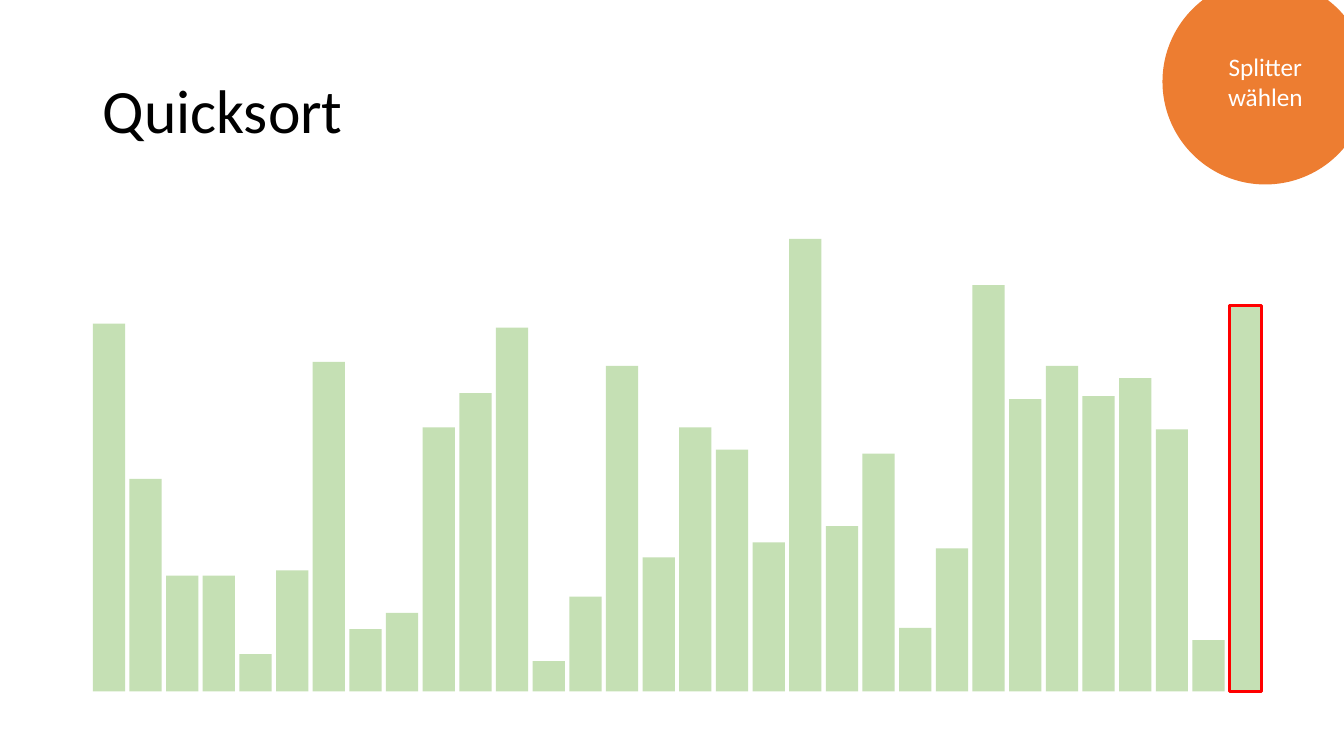
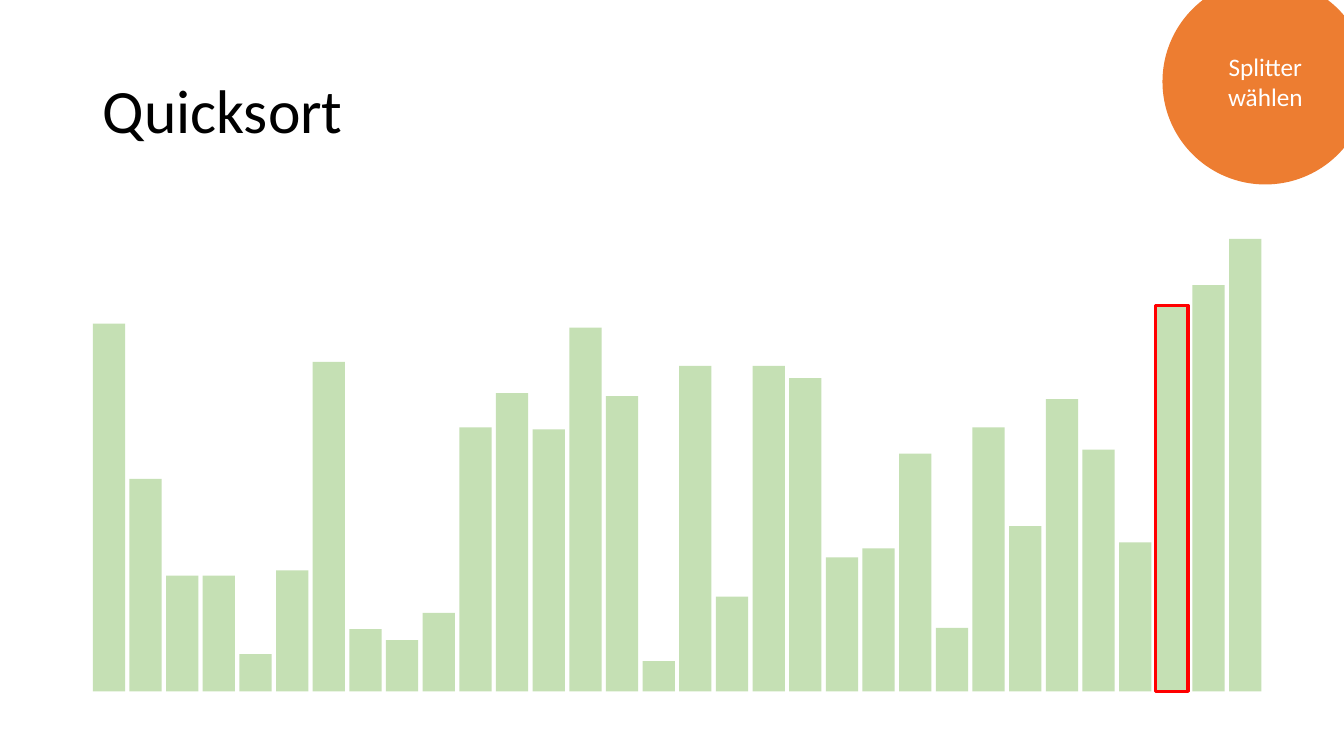
import pptx
import pptx.util
import pptx.dml.color
import pptx.enum.shapes
import pptx.enum.text

TITLE = "Quicksort"
STEP = "Splitter wählen"
SPLITTER = 3.83
ORDERS = [
    [3.65, 2.11, 1.15, 1.15, 0.37, 1.2, 3.27, 0.62,
     0.78, 2.62, 2.96, 3.61, 0.3, 0.94, 3.23, 1.33,
     2.62, 2.4, 1.48, 4.49, 1.64, 2.36, 0.63, 1.42,
     4.03, 2.9, 3.23, 2.93, 3.11, 2.6, 0.51, 3.83],
    [3.65, 2.11, 1.15, 1.15, 0.37, 1.2, 3.27, 0.62,
     0.51, 0.78, 2.62, 2.96, 2.6, 3.61, 2.93, 0.3,
     3.23, 0.94, 3.23, 3.11, 1.33, 1.42, 2.36, 0.63,
     2.62, 1.64, 2.9, 2.4, 1.48, 3.83, 4.03, 4.49],
]

COLORS = {"bar": "C5E0B4", "splitter": "FF0000", "step": "ED7D31",
          "title": "000000", "step_text": "FFFFFF"}
TITLE_FONT = {"name": "Calibri", "size": pptx.util.Pt(44)}
STEP_FONT = {"name": "Calibri", "size": pptx.util.Pt(18)}

WIDTH, HEIGHT = 13.33, 7.5
LEFT, BASELINE = 0.92, 6.86
BARS_WIDTH, BAR_WIDTH = 11.59, 0.32
TITLE_BOX = (LEFT, 0.4, 11.5, 1.45)
STEP_BOX = (11.53, -0.21, 2.04, 2.04)
SHAPES = pptx.enum.shapes.MSO_SHAPE


def inches(box):
    return [pptx.util.Inches(length) for length in box]


def color(name):
    return pptx.dml.color.RGBColor.from_string(COLORS[name])


def add_filled(slide, kind, box, fill):
    shape = slide.shapes.add_shape(kind, *inches(box))
    shape.shadow.inherit = False
    shape.fill.solid()
    shape.fill.fore_color.rgb = color(fill)
    shape.line.fill.background()
    return shape


def write(frame, text, font, font_color, align, spacing):
    frame.word_wrap = True
    frame.vertical_anchor = pptx.enum.text.MSO_ANCHOR.MIDDLE
    paragraph = frame.paragraphs[0]
    paragraph.alignment = align
    paragraph.line_spacing = spacing
    run = paragraph.add_run()
    run.text = text
    for attribute, value in font.items():
        setattr(run.font, attribute, value)
    run.font.color.rgb = color(font_color)


def add_bars(slide, values):
    pitch = (BARS_WIDTH - BAR_WIDTH) / (len(values) - 1)
    for column, value in enumerate(values):
        box = (LEFT + column * pitch, BASELINE - value, BAR_WIDTH, value)
        bar = add_filled(slide, SHAPES.RECTANGLE, box, "bar")
        if value == SPLITTER:
            bar.line.color.rgb = color("splitter")
            bar.line.width = pptx.util.Pt(2.25)


def add_step_slide(deck, values):
    slide = deck.slides.add_slide(deck.slide_layouts[6])
    align = pptx.enum.text.PP_ALIGN
    heading = slide.shapes.add_textbox(*inches(TITLE_BOX))
    write(heading.text_frame, TITLE, TITLE_FONT, "title", align.LEFT, 0.9)
    add_bars(slide, values)
    step = add_filled(slide, SHAPES.OVAL, STEP_BOX, "step")
    write(step.text_frame, STEP, STEP_FONT, "step_text", align.CENTER, 1.0)


def main():
    deck = pptx.Presentation()
    deck.slide_width, deck.slide_height = inches((WIDTH, HEIGHT))
    for values in ORDERS:
        add_step_slide(deck, values)
    deck.save("out.pptx")


if __name__ == "__main__":
    main()
